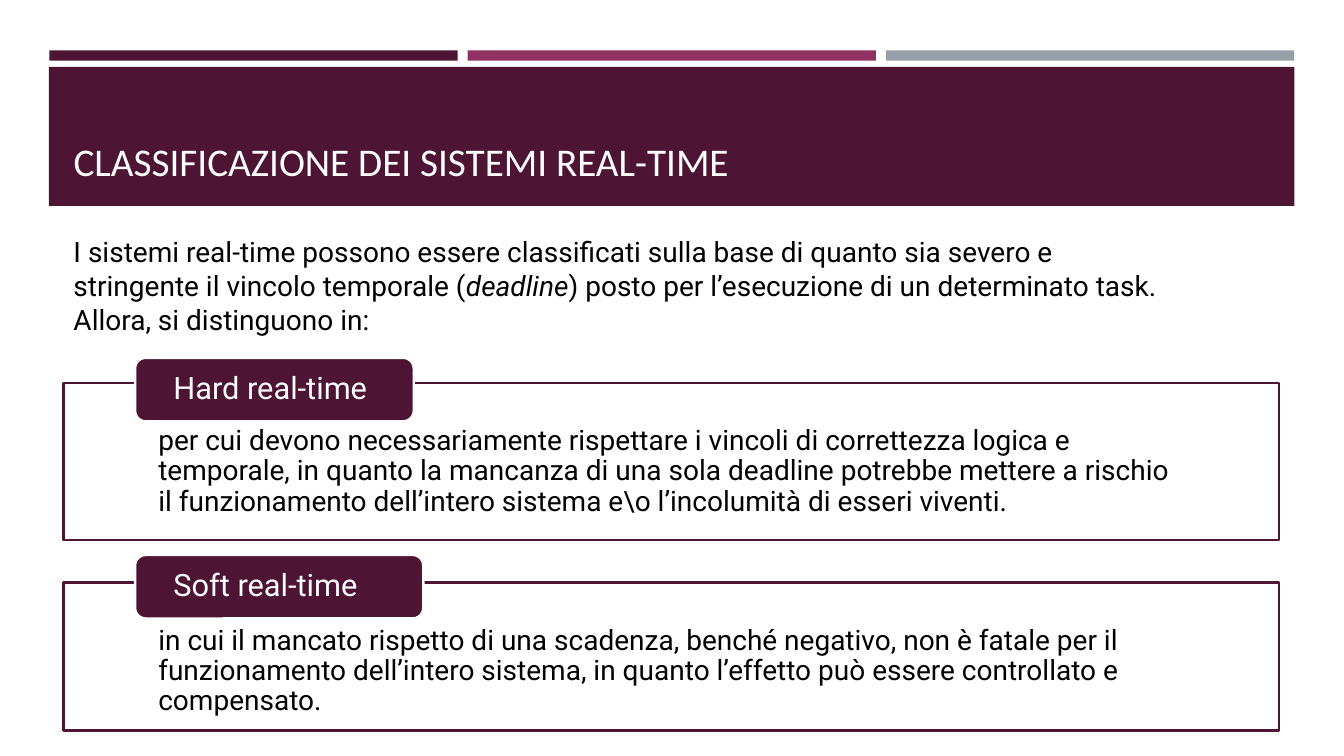
from lxml.etree import SubElement
from pptx import Presentation
from pptx.dml.color import RGBColor
from pptx.enum.shapes import MSO_SHAPE
from pptx.enum.text import MSO_ANCHOR, MSO_AUTO_SIZE, PP_ALIGN
from pptx.oxml.ns import qn
from pptx.util import Pt

TITLE = "CLASSIFICAZIONE DEI SISTEMI REAL-TIME"
INTRO = [
    [("I sistemi real-time possono essere classificati sulla base di quanto sia "
      "severo e stringente il vincolo temporale (", False),
     ("deadline", True),
     (") posto per l’esecuzione di un determinato task.", False)],
    [("Allora, si distinguono in:", False)],
]
KINDS = [
    {"name": "Hard real-time", "top": 273.6, "height": 112.3,
     "tag_top": 255.6, "tag_width": 199.1,
     "text": "per cui devono necessariamente rispettare i vincoli di correttezza "
             "logica e temporale, in quanto la mancanza di una sola deadline "
             "potrebbe mettere a rischio il funzionamento dell’intero sistema "
             "e\\o l’incolumità di esseri viventi."},
    {"name": "Soft real-time", "top": 416.2, "height": 105.8,
     "tag_top": 396.4, "tag_width": 205.9,
     "text": "in cui il mancato rispetto di una scadenza, benché negativo, non è "
             "fatale per il funzionamento dell’intero sistema, in quanto "
             "l’effetto può essere controllato e compensato."},
]
COLORS = {"plum": "4D1434", "rose": "903163", "gray": "969FA7",
          "white": "FFFFFF", "black": "000000"}
LEFT, WIDTH = 45.4, 868.3
BAR_LEFT, BAR_WIDTH, BAR_GAP = 35.3, 291.6, 7.2


def color(name):
    return RGBColor.from_string(COLORS[name])


def style(font, size, name, face="Roboto"):
    font.size = Pt(size)
    font.name = face
    font.color.rgb = color(name)


def block(shape, box, fill, line=None):
    item = slide.shapes.add_shape(shape, *map(Pt, box))
    item.shadow.inherit = False
    item.fill.solid()
    item.fill.fore_color.rgb = color(fill)
    if line:
        item.line.color.rgb = color(line)
        item.line.width = Pt(1.75)
    else:
        item.line.fill.background()
    return item


def write(item, text, size, name, anchor, insets, after):
    frame = item.text_frame
    frame.text = text
    frame.word_wrap = True
    frame.vertical_anchor = anchor
    (frame.margin_left, frame.margin_top,
     frame.margin_right, frame.margin_bottom) = map(Pt, insets)
    para = frame.paragraphs[0]
    para.alignment = PP_ALIGN.LEFT
    para.line_spacing = 0.9
    para.space_after = Pt(after)
    style(para.runs[0].font, size, name)


deck = Presentation()
deck.slide_width, deck.slide_height = Pt(960), Pt(540)
slide = deck.slides.add_slide(deck.slide_layouts[5])

for i, name in enumerate(["plum", "rose", "gray"]):
    left = BAR_LEFT + i * (BAR_WIDTH + BAR_GAP)
    block(MSO_SHAPE.RECTANGLE, (left, 36, BAR_WIDTH, 7.4), name)
block(MSO_SHAPE.RECTANGLE, (34.9, 47.7, 889.7, 99.3), "plum")

title = slide.shapes.title
slide.shapes.element.append(title.element)
title.left, title.top, title.width, title.height = map(Pt, (LEFT, 57.6, WIDTH, 77.8))
frame = title.text_frame
frame.text = TITLE
frame.auto_size = MSO_AUTO_SIZE.NONE
frame.vertical_anchor = MSO_ANCHOR.BOTTOM
frame.paragraphs[0].alignment = PP_ALIGN.LEFT
style(frame.paragraphs[0].runs[0].font, 28, "white", "Calibri")

intro = slide.shapes.add_textbox(*map(Pt, (LEFT, 164.2, 800.6, 103))).text_frame
intro.word_wrap = True
intro.auto_size = MSO_AUTO_SIZE.SHAPE_TO_FIT_TEXT
for i, parts in enumerate(INTRO):
    para = intro.add_paragraph() if i else intro.paragraphs[0]
    for text, slant in parts:
        run = para.add_run()
        run.text = text
        style(run.font, 20, "black")
        run.font.italic = slant

for kind in KINDS:
    panel = block(MSO_SHAPE.RECTANGLE, (LEFT, kind["top"], WIDTH, kind["height"]),
                  "white", "plum")
    tint = panel.element.spPr.find(qn("a:solidFill"))[0]
    SubElement(tint, qn("a:alpha"), val="90000")
    write(panel, kind["text"], 20, "black", MSO_ANCHOR.TOP,
          (67.7, 31, 67.7, 11.5), 4)
    tag = block(MSO_SHAPE.ROUNDED_RECTANGLE,
                (96.5, kind["tag_top"], kind["tag_width"], 45.4), "plum", "white")
    write(tag, kind["name"], 22, "white", MSO_ANCHOR.MIDDLE,
          (25.2, 2.2, 25.2, 2.2), 9)

deck.save("out.pptx")
